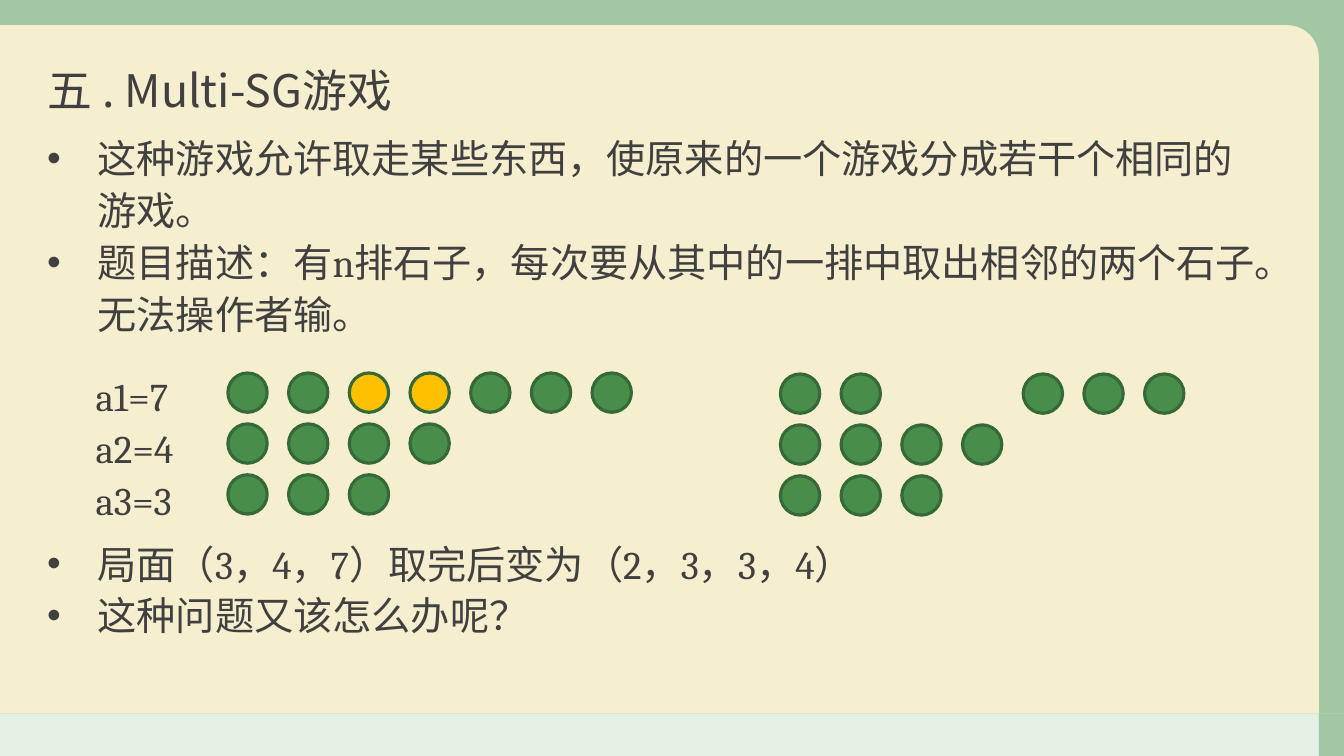
from lxml import etree
from pptx import Presentation
from pptx.dml.color import RGBColor
from pptx.enum.shapes import MSO_SHAPE
from pptx.enum.text import MSO_ANCHOR
from pptx.oxml.ns import qn
from pptx.util import Inches, Pt

RECT = MSO_SHAPE.RECTANGLE
PANEL = MSO_SHAPE.ROUND_1_RECTANGLE
CIRCLE = MSO_SHAPE.OVAL
TOP, BOTTOM = MSO_ANCHOR.TOP, MSO_ANCHOR.BOTTOM

WIDTH, HEIGHT = 13.33, 7.5
EDGE = 0.25                       # green frame at the top and right
FOOTER = 0.42
MARGIN, TEXT_WIDTH = 0.37, 12.28
STONE, PITCH_X, PITCH_Y = 0.39, 0.602, 0.505
HEADING_FONT, BODY_FONT = "Noto Sans CJK SC", "Cambria"
COLORS = {"green": "488E4A", "dark_green": "356937", "mint": "D8EBD8",
          "cream": "F5EECF", "taken": "FFC000", "text": "404040"}


def rgb(name):
    return RGBColor.from_string(COLORS[name])


def add_block(slide, kind, box, color, alpha=None, outline=None):
    block = slide.shapes.add_shape(kind, *map(Inches, box))
    block.shadow.inherit = False
    block.fill.solid()
    block.fill.fore_color.rgb = rgb(color)
    if alpha is not None:
        srgb = block.fill._xPr.find(".//" + qn("a:srgbClr"))
        etree.SubElement(srgb, qn("a:alpha"), val=str(alpha * 1000))
    if outline:
        block.line.color.rgb = rgb(outline)
        block.line.width = Pt(2.25)
    else:
        block.line.fill.background()
    return block


def add_text(slide, box, lines, size=28, font=BODY_FONT, spacing=1.1,
             anchor=TOP, bullets=False):
    frame = slide.shapes.add_textbox(*map(Inches, box)).text_frame
    frame.word_wrap = True
    frame.vertical_anchor = anchor
    for number, line in enumerate(lines):
        paragraph = frame.add_paragraph() if number else frame.paragraphs[0]
        paragraph.line_spacing = spacing
        if bullets:
            props = paragraph._p.get_or_add_pPr()
            props.set("marL", str(Inches(0.5)))
            props.set("indent", str(-Inches(0.5)))
            etree.SubElement(props, qn("a:buFont"), typeface="Arial")
            etree.SubElement(props, qn("a:buChar"), char="•")
        run = paragraph.add_run()
        run.text = line
        run.font.size = Pt(size)
        run.font.name = font
        run.font.color.rgb = rgb("text")
        etree.SubElement(run._r.get_or_add_rPr(), qn("a:ea"),
                         typeface=HEADING_FONT)


def add_background(slide, width, height):
    body, inner = height - FOOTER, width - EDGE
    add_block(slide, RECT, (0, body, inner, FOOTER), "mint", alpha=70)
    add_block(slide, RECT, (inner, body, EDGE, FOOTER), "green", alpha=50)
    add_block(slide, RECT, (0, 0, width, body), "green", alpha=50)
    panel = add_block(slide, PANEL, (0, EDGE, inner, body - EDGE), "cream")
    panel.adjustments[0] = 0.046


def add_stones(slide, left, top, rows):
    """Each row is a string: o is a stone, x a stone to take, - a gap."""
    for row, pattern in enumerate(rows):
        for column, mark in enumerate(pattern):
            if mark == "-":
                continue
            box = (left + column * PITCH_X, top + row * PITCH_Y, STONE, STONE)
            add_block(slide, CIRCLE, box, "taken" if mark == "x" else "green",
                      outline="dark_green")


def add_game(slide, left, top):
    # Row labels, then the position before and after the move
    add_text(slide, (left, top, 1.3, 1.66), ["a1=7", "a2=4", "a3=3"])
    add_stones(slide, left + 1.41, top + 0.1, ["ooxxooo", "oooo", "ooo"])
    add_stones(slide, left + 6.89, top + 0.11, ["oo--ooo", "oooo", "ooo"])


def main():
    deck = Presentation()
    deck.slide_width, deck.slide_height = Inches(WIDTH), Inches(HEIGHT)
    slide = deck.slides.add_slide(deck.slide_layouts[6])
    add_background(slide, WIDTH, HEIGHT)

    # Title
    add_text(slide, (MARGIN, 0.36, TEXT_WIDTH, 0.85), ["五 . Multi-SG游戏"],
             size=32, font=HEADING_FONT, spacing=0.9, anchor=BOTTOM)
    # Rules of the game
    add_text(slide, (MARGIN, 1.24, TEXT_WIDTH, 2.17), [
        "这种游戏允许取走某些东西，使原来的一个游戏分成若干个相同的游戏。",
        "题目描述：有n排石子，每次要从其中的一排中取出相邻的两个石子。无法操作者输。",
    ], bullets=True)
    add_game(slide, 0.85, 3.6)
    # Outcome and question
    add_text(slide, (MARGIN, 5.26, TEXT_WIDTH, 1.1), [
        "局面（3，4，7）取完后变为（2，3，3，4）",
        "这种问题又该怎么办呢？",
    ], bullets=True)
    deck.save("out.pptx")


if __name__ == "__main__":
    main()
